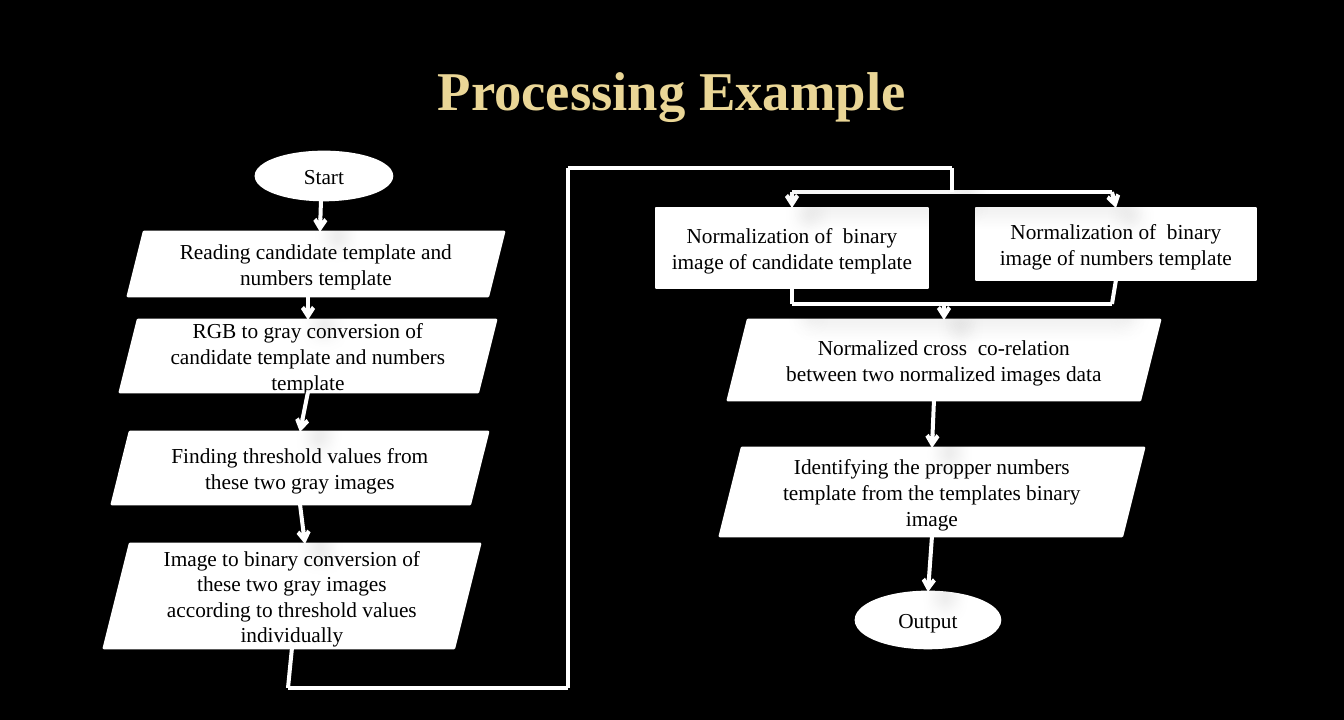
from lxml import etree
from pptx import Presentation
from pptx.dml.color import RGBColor
from pptx.enum.shapes import MSO_CONNECTOR, MSO_SHAPE
from pptx.enum.text import MSO_ANCHOR, PP_ALIGN
from pptx.oxml.ns import qn
from pptx.util import Pt

OVAL, SLANTED, RECT = MSO_SHAPE.OVAL, MSO_SHAPE.PARALLELOGRAM, MSO_SHAPE.RECTANGLE
STRAIGHT = MSO_CONNECTOR.STRAIGHT
MIDDLE, CENTER = MSO_ANCHOR.MIDDLE, PP_ALIGN.CENTER
BLACK = RGBColor(0x00, 0x00, 0x00)
WHITE = RGBColor(0xFF, 0xFF, 0xFF)
GOLD = RGBColor(0xEA, 0xD6, 0x96)
FONT = "Times New Roman"
SCALE = 9525


def px(*lengths):
    return [round(length * SCALE) for length in lengths]


def write(frame, text, size=16, color=BLACK, bold=False):
    frame.word_wrap = True
    frame.vertical_anchor = MIDDLE
    para = frame.paragraphs[0]
    para.alignment = CENTER
    span = para.add_run()
    span.text = text
    span.font.name = FONT
    span.font.size = Pt(size)
    span.font.bold = bold
    span.font.color.rgb = color


def add_step(page, kind, left, top, width, height, text):
    shape = page.shapes.add_shape(kind, *px(left, top, width, height))
    shape.shadow.inherit = False
    shape.fill.solid()
    shape.fill.fore_color.rgb = WHITE
    shape.line.color.rgb = WHITE
    shape.line.width = Pt(2)
    write(shape.text_frame, text)


def add_shadow(line):
    effects = etree.SubElement(line._element.spPr, qn("a:effectLst"))
    shadow = etree.SubElement(effects, qn("a:outerShdw"), blurRad=str(Pt(15)),
                              dist=str(Pt(18)), dir=str(45 * 60000))
    color = etree.SubElement(shadow, qn("a:srgbClr"), val=str(BLACK))
    etree.SubElement(color, qn("a:alpha"), val="26000")


def add_path(page, left, top, points, arrow=True):
    """Join the points, given relative to left and top, with straight lines."""
    spots = [(left + x, top + y) for x, y in points]
    for start, end in zip(spots, spots[1:]):
        line = page.shapes.add_connector(STRAIGHT, *px(*start, *end))
        line.line.color.rgb = WHITE
        line.line.width = Pt(3)
        if arrow and end == spots[-1]:
            etree.SubElement(line.line._get_or_add_ln(), qn("a:tailEnd"), type="arrow")
        add_shadow(line)


def add_title(page, left, top, width, height):
    box = page.shapes.add_textbox(*px(left, top, width, height))
    write(box.text_frame, "Processing Example", size=41, color=GOLD, bold=True)


def add_preparation(page, left, top):
    """Left column: from start to binary images."""
    add_step(page, OVAL, left + 152, top, 136, 48, "Start")
    steps = [
        (80, 64, "Reading candidate template and numbers template"),
        (168, 72, "RGB to gray conversion of candidate template and numbers template"),
        (280, 72, "Finding threshold values from these two gray images"),
        (392, 104, "Image to binary conversion of these two gray images "
                   "according to threshold values individually"),
    ]
    for index, (down, height, text) in enumerate(steps):
        add_step(page, SLANTED, left + 24 - 8 * index, top + down, 376, height, text)
    for points in (
        [(217, 48), (216, 80)],
        [(204, 144), (204, 168)],
        [(204, 240), (196, 280)],
        [(196, 352), (201, 392)],
    ):
        add_path(page, left, top, points)


def add_matching(page, left, top):
    """Right column: from the two normalizations to the output."""
    for kind, across, down, width, height, text in (
        (RECT, 0, 16, 272, 80, "Normalization of  binary image of candidate template"),
        (RECT, 320, 16, 280, 72, "Normalization of  binary image of numbers template"),
        (SLANTED, 72, 128, 432, 80,
         "Normalized cross  co-relation between two normalized images data"),
        (SLANTED, 64, 256, 424, 88,
         "Identifying the propper numbers template from the templates binary image"),
        (OVAL, 200, 400, 144, 56, "Output"),
    ):
        add_step(page, kind, left + across, top + down, width, height, text)
    # Split into both normalizations
    add_path(page, left, top, [(296, 0), (136, 0), (136, 16)])
    add_path(page, left, top, [(296, 0), (456, 0), (460, 16)])
    # Merge into the cross co-relation
    add_path(page, left, top, [(136, 96), (136, 112), (288, 112)], arrow=False)
    add_path(page, left, top, [(460, 88), (456, 112), (288, 112)], arrow=False)
    add_path(page, left, top, [(288, 112), (288, 128)])
    # Down to the output
    add_path(page, left, top, [(278, 208), (276, 256)])
    add_path(page, left, top, [(276, 344), (272, 400)])


def add_link(page, left, top):
    """Line from the foot of the left column to the head of the right one."""
    points = [(4, 480), (0, 520), (280, 520), (280, 0), (664, 0), (664, 24)]
    add_path(page, left, top, points, arrow=False)


deck = Presentation()
deck.slide_width, deck.slide_height = px(1344, 720)
page = deck.slides.add_slide(deck.slide_layouts[6])
page.background.fill.solid()
page.background.fill.fore_color.rgb = BLACK

add_title(page, 67, 29, 1210, 120)
add_preparation(page, 104, 152)
add_matching(page, 656, 192)
add_link(page, 288, 168)

deck.save("out.pptx")
